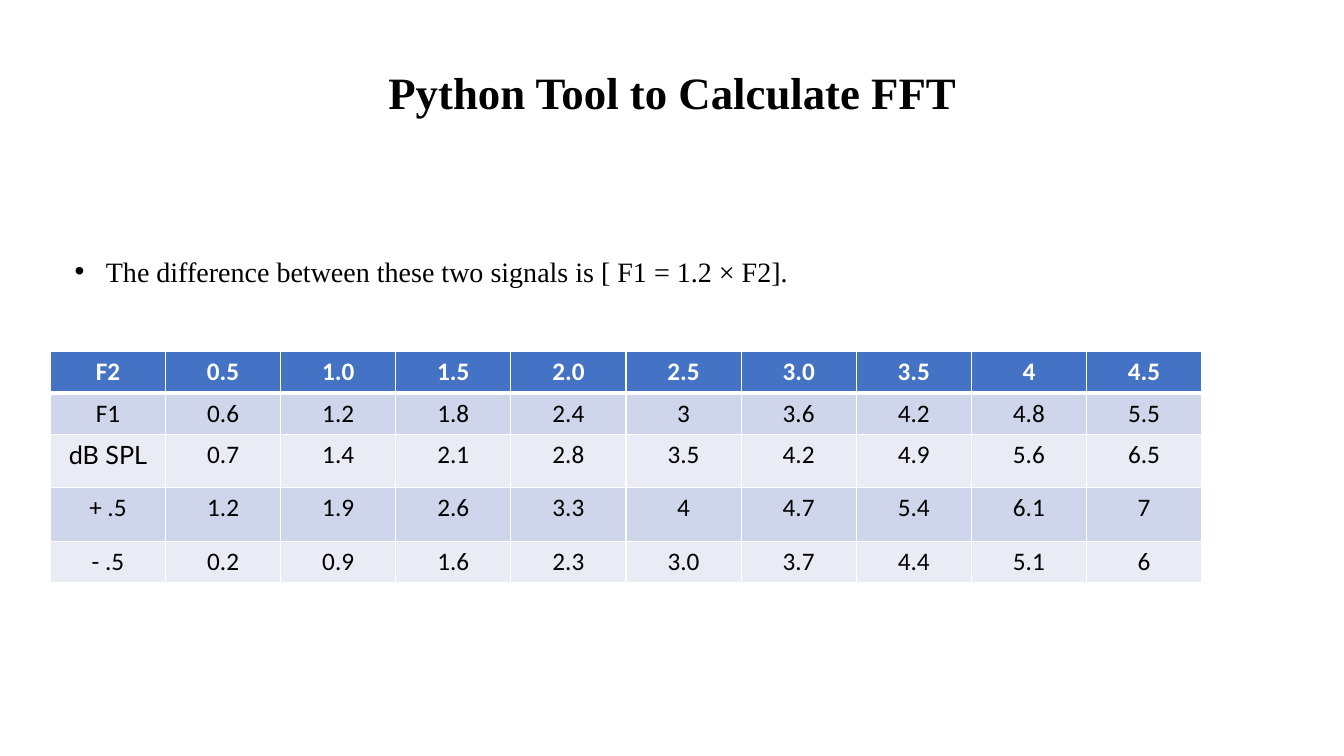
"""Build a slide with a title, one bullet and a table of signal values."""
from lxml.etree import SubElement as Sub
from pptx import Presentation
from pptx.dml.color import RGBColor as RGB
from pptx.enum.text import MSO_ANCHOR as Anchor, MSO_AUTO_SIZE as Auto, PP_ALIGN as Align
from pptx.oxml.ns import qn
from pptx.util import Inches, Pt

BLACK = RGB(0x00, 0x00, 0x00)
WHITE = RGB(0xFF, 0xFF, 0xFF)
BLUE = RGB(0x44, 0x72, 0xC4)
BANDS = [RGB(0xE9, 0xEB, 0xF5), RGB(0xCF, 0xD5, 0xEA)]
ROWS = [
    ["F2", "0.5", "1.0", "1.5", "2.0", "2.5", "3.0", "3.5", "4", "4.5"],
    ["F1", "0.6", "1.2", "1.8", "2.4", "3", "3.6", "4.2", "4.8", "5.5"],
    ["dB SPL", "0.7", "1.4", "2.1", "2.8", "3.5", "4.2", "4.9", "5.6", "6.5"],
    ["+ .5", "1.2", "1.9", "2.6", "3.3", "4", "4.7", "5.4", "6.1", "7"],
    ["- .5", "0.2", "0.9", "1.6", "2.3", "3.0", "3.7", "4.4", "5.1", "6"],
]
HEIGHTS = [0.41, 0.41, 0.53, 0.53, 0.41]


def write(frame, text, font="Times New Roman", size=18, color=BLACK, bold=False, align=Align.CENTER):
    para = frame.paragraphs[0]
    para.alignment = align
    para.space_before = Pt(0)
    run = para.add_run()
    run.text = text
    run.font.name = font
    run.font.size = Pt(size)
    run.font.bold = bold
    run.font.color.rgb = color
    return para


def edge(cell, side, width):
    line = Sub(cell._tc.get_or_add_tcPr(), qn("a:ln" + side), w=str(Pt(width)))
    fill = Sub(line, qn("a:solidFill"))
    Sub(fill, qn("a:srgbClr"), val=str(WHITE))


deck = Presentation()
deck.slide_width = Inches(13.33)
deck.slide_height = Inches(7.5)
slide = deck.slides.add_slide(deck.slide_layouts[1])
title, body = slide.placeholders

places = [(title, 2.12, 0.59, 9.1, 0.64), (body, 0.64, 2.47, 7.35, 0.77)]
for holder, left, top, width, height in places:
    holder.left, holder.top = Inches(left), Inches(top)
    holder.width, holder.height = Inches(width), Inches(height)
    holder.text_frame.auto_size = Auto.NONE
    holder.text_frame.vertical_anchor = Anchor.TOP
    holder.text_frame.word_wrap = True

write(title.text_frame, "Python Tool to Calculate FFT", size=32, bold=True)
item = write(body.text_frame, "The difference between these two signals is [ F1 = 1.2 × F2].",
             size=20, align=Align.LEFT)
props = item._p.get_or_add_pPr()
props.set("marL", str(Inches(0.31)))
props.set("indent", str(Inches(-0.31)))
Sub(props, qn("a:buFont"), typeface="Arial")
Sub(props, qn("a:buChar"), char="•")

table = slide.shapes.add_table(len(ROWS), len(ROWS[0]), Inches(0.5), Inches(3.49),
                               Inches(11.42), Inches(sum(HEIGHTS))).table
for row, height in zip(table.rows, HEIGHTS):
    row.height = Inches(height)

for r, row in enumerate(ROWS):
    head = r == 0
    for c, text in enumerate(row):
        cell = table.cell(r, c)
        for side in "LRTB":
            thick = (head and side == "B") or (r == 1 and side == "T")
            edge(cell, side, 3 if thick else 1)
        cell.fill.solid()
        cell.fill.fore_color.rgb = BLUE if head else BANDS[r % 2]
        write(cell.text_frame, text, font="Lato" if text == "dB SPL" else "Calibri",
              color=WHITE if head else BLACK, bold=head)

deck.save("out.pptx")
